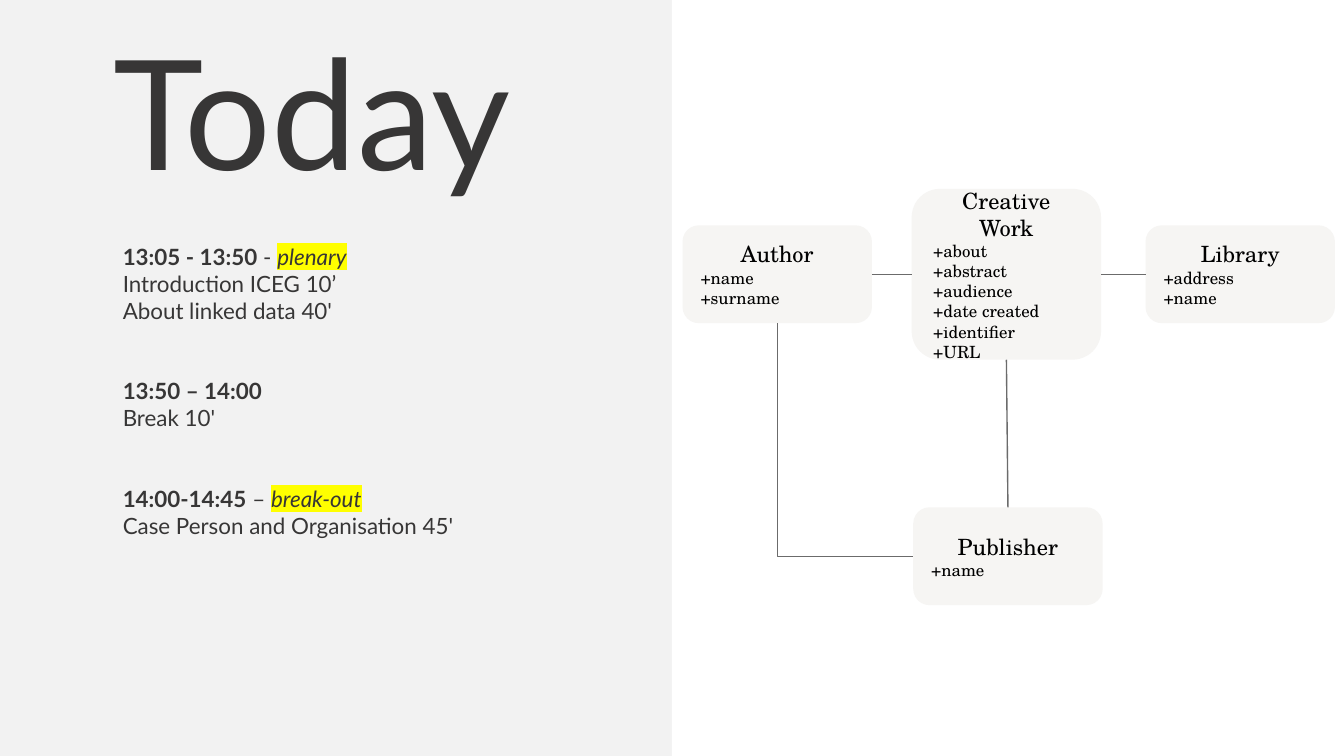
from dataclasses import dataclass
from typing import NamedTuple

from lxml import etree
from pptx import Presentation
from pptx.dml.color import RGBColor
from pptx.enum.shapes import MSO_CONNECTOR, MSO_SHAPE
from pptx.enum.text import MSO_ANCHOR, MSO_AUTO_SIZE, PP_ALIGN
from pptx.oxml.ns import qn
from pptx.util import Cm, Pt

RECTANGLE, ROUNDED = MSO_SHAPE.RECTANGLE, MSO_SHAPE.ROUNDED_RECTANGLE
STRAIGHT, ELBOW = MSO_CONNECTOR.STRAIGHT, MSO_CONNECTOR.ELBOW
TOP, MIDDLE = MSO_ANCHOR.TOP, MSO_ANCHOR.MIDDLE
LEFT, CENTER = PP_ALIGN.LEFT, PP_ALIGN.CENTER
NO_AUTOFIT = MSO_AUTO_SIZE.NONE
TOP_SIDE, LEFT_SIDE, BOTTOM_SIDE, RIGHT_SIDE = range(4)


@dataclass(frozen=True)
class Theme:
    background: str = "F2F2F2"
    panel: str = "FFFFFF"
    card: str = "F6F5F3"
    line: str = "6B6B6B"
    text: str = "373636"
    card_text: str = "000000"
    highlight: str = "FFFF00"
    text_font: str = "Lato"
    card_font: str = "TeX Gyre Schola"
    title_size: float = 82
    body_size: float = 12
    attribute_size: float = 9
    line_width: float = 0.75
    session_gap: float = 28.8


class Box(NamedTuple):
    left: float
    top: float
    width: float
    height: float

    def lengths(self):
        return [Cm(value) for value in self]


THEME = Theme()
INSET = 0.25
CARD_WIDTH, CARD_HEIGHT = 3.58, 1.85

SESSIONS = [
    ("13:05 - 13:50", " - ", "plenary",
     ["Introduction ICEG 10’", "About linked data 40'"]),
    ("13:50 – 14:00", "", "", ["Break 10'"]),
    ("14:00-14:45", " – ", "break-out", ["Case Person and Organisation 45'"]),
]

CARDS = {
    "Author": (0.2, 4.26, CARD_HEIGHT, ["name", "surname"]),
    "Library": (8.95, 4.26, CARD_HEIGHT, ["address", "name"]),
    "Creative Work": (4.53, 3.57, 3.23, ["about", "abstract", "audience",
                                         "date created", "identifier", "URL"]),
    "Publisher": (4.56, 9.59, CARD_HEIGHT, ["name"]),
}

LINKS = [
    ("Author", RIGHT_SIDE, "Creative Work", LEFT_SIDE),
    ("Creative Work", RIGHT_SIDE, "Library", LEFT_SIDE),
    ("Creative Work", BOTTOM_SIDE, "Publisher", TOP_SIDE),
]


def color(value):
    return RGBColor.from_string(value)


def set_font(paragraph, name, size, value):
    font = paragraph.font
    font.name, font.size = name, Pt(size)
    font.color.rgb = color(value)


def set_frame(frame, anchor, vertical_inset=INSET):
    frame.word_wrap = True
    frame.auto_size = NO_AUTOFIT
    frame.vertical_anchor = anchor
    frame.margin_left = frame.margin_right = Cm(INSET)
    frame.margin_top = frame.margin_bottom = Cm(vertical_inset)


def place(shape, box):
    shape.left, shape.top, shape.width, shape.height = box.lengths()


def add_paragraph(frame, is_first):
    return frame.paragraphs[0] if is_first else frame.add_paragraph()


def fill_title(title, box):
    place(title, box)
    set_frame(title.text_frame, TOP, 0.23)
    paragraph = title.text_frame.paragraphs[0]
    paragraph.text = "Today"
    paragraph.alignment = CENTER
    paragraph.line_spacing = 1.03
    set_font(paragraph, THEME.text_font, THEME.title_size, THEME.text)


def add_agenda_line(frame, is_first, gap):
    paragraph = add_paragraph(frame, is_first)
    properties = paragraph._p.get_or_add_pPr()
    properties.set("marL", "0")
    properties.set("indent", "0")
    paragraph.alignment = LEFT
    paragraph.space_before = Pt(gap)
    etree.SubElement(properties, qn("a:buNone"))
    set_font(paragraph, THEME.text_font, THEME.body_size, THEME.text)
    return paragraph


def add_highlighted_run(paragraph, text):
    run = paragraph.add_run()
    run.text = text
    run.font.italic = True
    highlight = etree.SubElement(run.font._element, qn("a:highlight"))
    etree.SubElement(highlight, qn("a:srgbClr"), val=THEME.highlight)


def fill_agenda(body, box):
    place(body, box)
    frame = body.text_frame
    set_frame(frame, TOP, INSET / 2)
    for index, (time, dash, form, topics) in enumerate(SESSIONS):
        heading = add_agenda_line(frame, index == 0, THEME.session_gap if index else 0)
        run = heading.add_run()
        run.text = time
        run.font.bold = True
        if form:
            heading.add_run().text = dash
            add_highlighted_run(heading, form)
        for topic in topics:
            add_agenda_line(frame, False, 0).add_run().text = topic


def add_block(slide, kind, box, fill):
    shape = slide.shapes.add_shape(kind, *box.lengths())
    shape.shadow.inherit = False
    shape.fill.solid()
    shape.fill.fore_color.rgb = color(fill)
    shape.line.fill.background()
    return shape


def add_card(slide, box, name, attributes):
    card = add_block(slide, ROUNDED, box, THEME.card)
    set_frame(card.text_frame, MIDDLE)
    for index, text in enumerate([name] + ["+" + item for item in attributes]):
        paragraph = add_paragraph(card.text_frame, index == 0)
        paragraph.text = text
        paragraph.alignment = LEFT if index else CENTER
        size = THEME.attribute_size if index else THEME.body_size
        set_font(paragraph, THEME.card_font, size, THEME.card_text)
    return card


def add_link(slide, kind, start, start_side, end, end_side):
    link = slide.shapes.add_connector(kind, 0, 0, 0, 0)
    link.begin_connect(start, start_side)
    link.end_connect(end, end_side)
    link.line.color.rgb = color(THEME.line)
    link.line.width = Pt(THEME.line_width)
    etree.SubElement(link._element.spPr, qn("a:effectLst"))
    return link


def add_corner_link(slide, start, end):
    link = add_link(slide, ELBOW, start, BOTTOM_SIDE, end, LEFT_SIDE)
    across, down = link.width, link.height
    link.left += (across - down) // 2
    link.top += (down - across) // 2
    link.width, link.height = down, across
    properties = link._element.spPr
    properties.find(qn("a:prstGeom")).set("prst", "bentConnector2")
    transform = properties.find(qn("a:xfrm"))
    transform.set("rot", str(270 * 60000))
    transform.set("flipH", "1")


def add_diagram(slide, box):
    add_block(slide, RECTANGLE, box, THEME.panel)
    cards = {}
    for name, (left, top, height, attributes) in CARDS.items():
        card_box = Box(box.left + left, box.top + top, CARD_WIDTH, height)
        cards[name] = add_card(slide, card_box, name, attributes)
    for start, start_side, end, end_side in LINKS:
        add_link(slide, STRAIGHT, cards[start], start_side, cards[end], end_side)
    add_corner_link(slide, cards["Author"], cards["Publisher"])


def main():
    presentation = Presentation()
    presentation.slide_width, presentation.slide_height = Cm(25.4), Cm(14.29)
    slide = presentation.slides.add_slide(presentation.slide_layouts[1])
    slide.background.fill.solid()
    slide.background.fill.fore_color.rgb = color(THEME.background)
    fill_title(slide.shapes.title, Box(0, 0, 11.79, 2.34))
    fill_agenda(slide.placeholders[1], Box(2.07, 4.47, 7.65, 6.5))
    add_diagram(slide, Box(12.7, 0, 12.7, 14.29))
    presentation.save("out.pptx")


if __name__ == "__main__":
    main()
